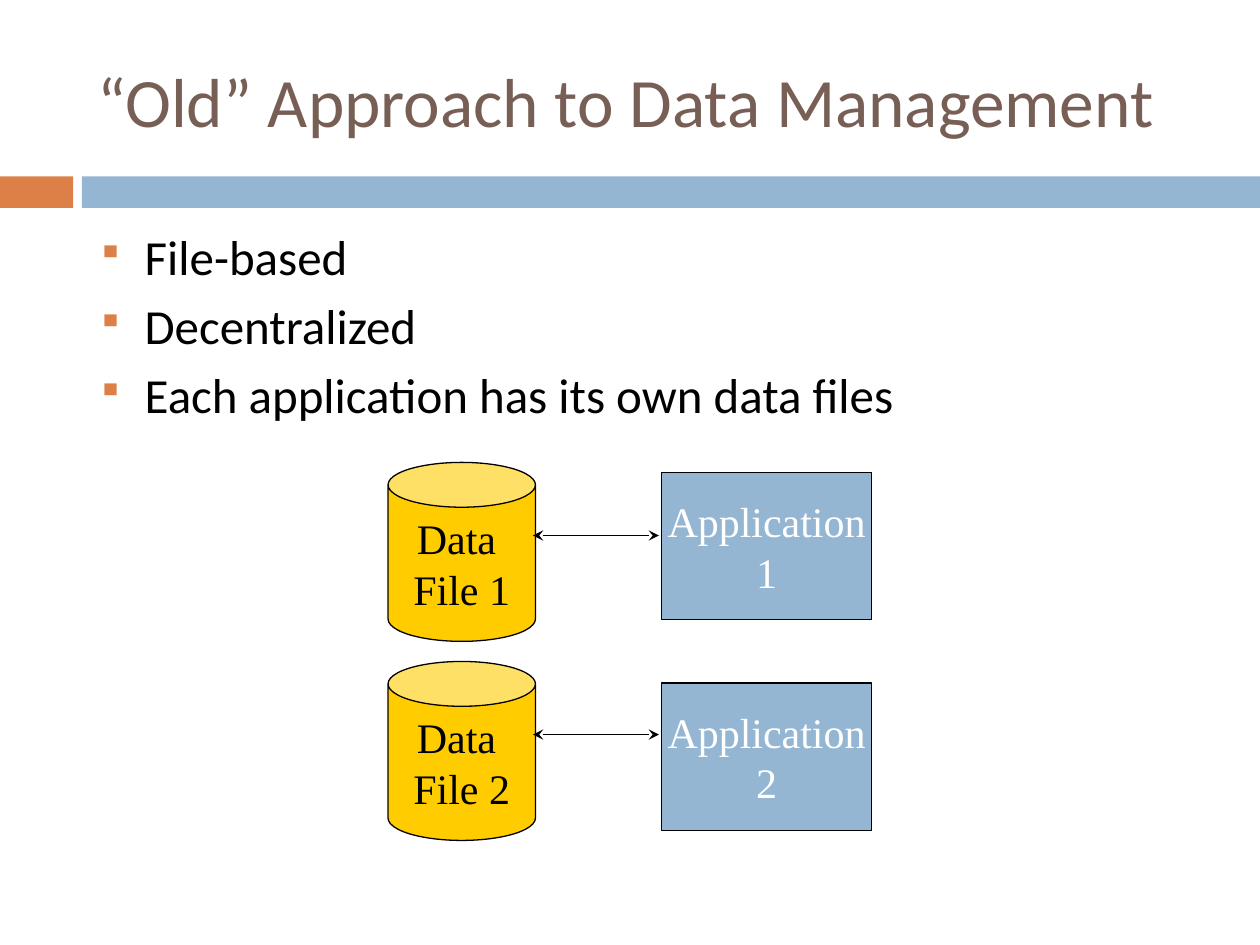
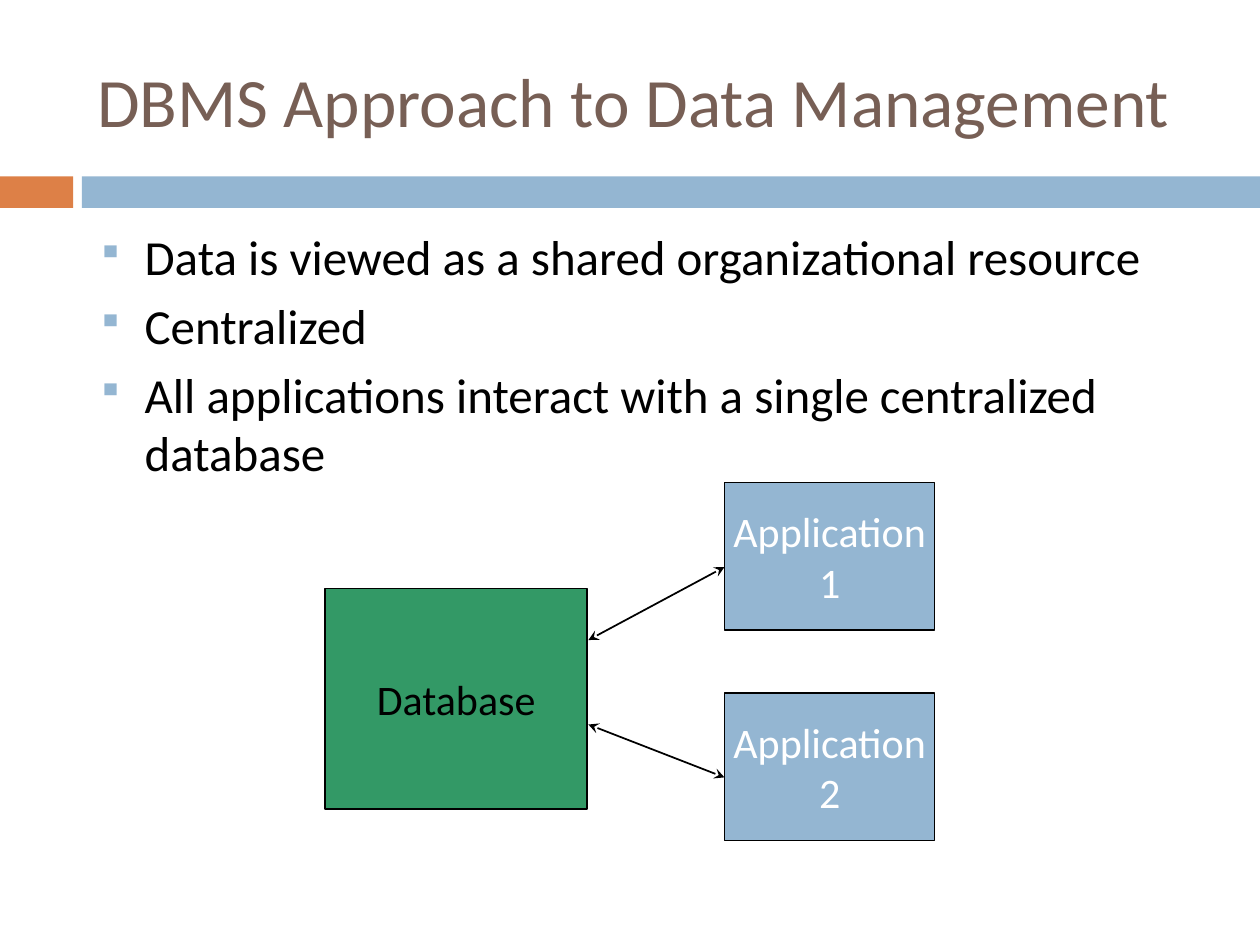
from lxml.etree import SubElement
from pptx import Presentation
from pptx.dml.color import RGBColor
from pptx.enum.shapes import MSO_CONNECTOR, MSO_SHAPE
from pptx.enum.text import MSO_ANCHOR, MSO_AUTO_SIZE, PP_ALIGN
from pptx.oxml.ns import qn
from pptx.util import Inches, Pt

COLORS = {
    "title": "775F55",
    "orange": "DD8047",
    "blue": "94B6D2",
    "yellow": "FFCC00",
    "green": "339966",
    "black": "000000",
    "white": "FFFFFF",
}
SANS, SERIF = "Calibri", "Times New Roman"
APPLICATION_SIZE = (1.67, 1.17)
DATA_FILE_SIZE = (1.17, 1.42)


def color(name):
    return RGBColor.from_string(COLORS[name])


class SlideBuilder:
    """Holds the shared style and the slide being drawn."""

    def __init__(self, presentation):
        self.presentation = presentation
        self.slide = None
        self.font = SANS

    def start_slide(self, title, font):
        layout = self.presentation.slide_layouts[5]
        self.slide = self.presentation.slides.add_slide(layout)
        self.font = font
        self.add_shape(MSO_SHAPE.RECTANGLE, (0, 1.4), (0.58, 0.25), "orange")
        self.add_shape(MSO_SHAPE.RECTANGLE, (0.65, 1.4), (9.35, 0.25), "blue")
        self.add_title(title)

    def add_run(self, paragraph, text, size, font, color_name):
        run = paragraph.add_run()
        run.text = text
        run.font.size = Pt(size)
        run.font.name = font
        run.font.color.rgb = color(color_name)

    def add_title(self, text):
        title = self.slide.shapes.title
        title.left, title.top = Inches(0.67), Inches(0.25)
        title.width, title.height = Inches(8.92), Inches(1.08)
        frame = title.text_frame
        frame.auto_size = MSO_AUTO_SIZE.NONE
        frame.vertical_anchor = MSO_ANCHOR.MIDDLE
        paragraph = frame.paragraphs[0]
        paragraph.alignment = PP_ALIGN.LEFT
        self.add_run(paragraph, text, 39.6, SANS, "title")

    def add_bullets(self, items, bullet_color):
        box = self.slide.shapes.add_textbox(
            Inches(0.67), Inches(1.75), Inches(8.92), Inches(4.92))
        frame = box.text_frame
        frame.word_wrap = True
        for index, item in enumerate(items):
            paragraph = frame.add_paragraph() if index else frame.paragraphs[0]
            paragraph.space_before = Pt(5.6)
            self.add_run(paragraph, item, 28, SANS, "black")
            # Hanging indent with a small square bullet
            properties = paragraph._p.get_or_add_pPr()
            properties.set("marL", str(Inches(0.38)))
            properties.set("indent", str(-Inches(0.38)))
            bullet = SubElement(properties, qn("a:buClr"))
            SubElement(bullet, qn("a:srgbClr"), val=COLORS[bullet_color])
            SubElement(properties, qn("a:buSzPct"), val="75000")
            SubElement(properties, qn("a:buChar"), char="▪")

    def add_shape(self, kind, position, size, fill):
        shape = self.slide.shapes.add_shape(
            kind, *[Inches(value) for value in position + size])
        shape.shadow.inherit = False
        shape.fill.solid()
        shape.fill.fore_color.rgb = color(fill)
        shape.line.fill.background()
        return shape

    def add_node(self, kind, position, size, fill, lines, text_color):
        shape = self.add_shape(kind, position, size, fill)
        shape.line.color.rgb = color("black")
        shape.line.width = Pt(0.75)
        frame = shape.text_frame
        frame.word_wrap = False
        frame.vertical_anchor = MSO_ANCHOR.MIDDLE
        for index, line in enumerate(lines):
            paragraph = frame.add_paragraph() if index else frame.paragraphs[0]
            paragraph.alignment = PP_ALIGN.CENTER
            self.add_run(paragraph, line, 24, self.font, text_color)
        return shape

    def add_application(self, number, left, top):
        self.add_node(MSO_SHAPE.RECTANGLE, (left, top), APPLICATION_SIZE,
                      "blue", ["Application", str(number)], "white")

    def add_data_file(self, number, left, top):
        can = self.add_node(MSO_SHAPE.CAN, (left, top), DATA_FILE_SIZE,
                            "yellow", ["Data ", f"File {number}"], "black")
        can.adjustments[0] = 0.304

    def add_double_arrow(self, start, end):
        connector = self.slide.shapes.add_connector(
            MSO_CONNECTOR.STRAIGHT, *[Inches(value) for value in start + end])
        connector.line.color.rgb = color("black")
        connector.line.width = Pt(1)
        line = connector.line._get_or_add_ln()
        for end_tag in ("a:headEnd", "a:tailEnd"):
            SubElement(line, qn(end_tag), type="stealth")
        SubElement(connector._element.spPr, qn("a:effectLst"))


def build_old_approach(builder):
    builder.start_slide("“Old” Approach to Data Management", SERIF)
    builder.add_bullets(
        ["File-based", "Decentralized", "Each application has its own data files"],
        "orange")

    # One data file per application
    rows = [(3.67, 3.75, 4.25), (5.25, 5.42, 5.83)]
    for number, (file_top, application_top, arrow_y) in enumerate(rows, 1):
        builder.add_data_file(number, 3.08, file_top)
        builder.add_application(number, 5.25, application_top)
        builder.add_double_arrow((4.23, arrow_y), (5.23, arrow_y))


def build_dbms_approach(builder):
    builder.start_slide("DBMS Approach to Data Management", SANS)
    builder.add_bullets(
        ["Data is viewed as a shared organizational resource", "Centralized",
         "All applications interact with a single centralized database"],
        "blue")

    # One database shared by all applications
    builder.add_node(MSO_SHAPE.RECTANGLE, (2.58, 4.67), (2.08, 1.75),
                     "green", ["Database"], "black")
    rows = [(3.83, 5.08, 4.5), (5.5, 5.75, 6.17)]
    for number, (top, database_y, application_y) in enumerate(rows, 1):
        builder.add_application(number, 5.75, top)
        builder.add_double_arrow((4.67, database_y), (5.75, application_y))


def main():
    presentation = Presentation()
    presentation.slide_width = Inches(10)
    presentation.slide_height = Inches(7.5)
    builder = SlideBuilder(presentation)
    build_old_approach(builder)
    build_dbms_approach(builder)
    presentation.save("out.pptx")


if __name__ == "__main__":
    main()
